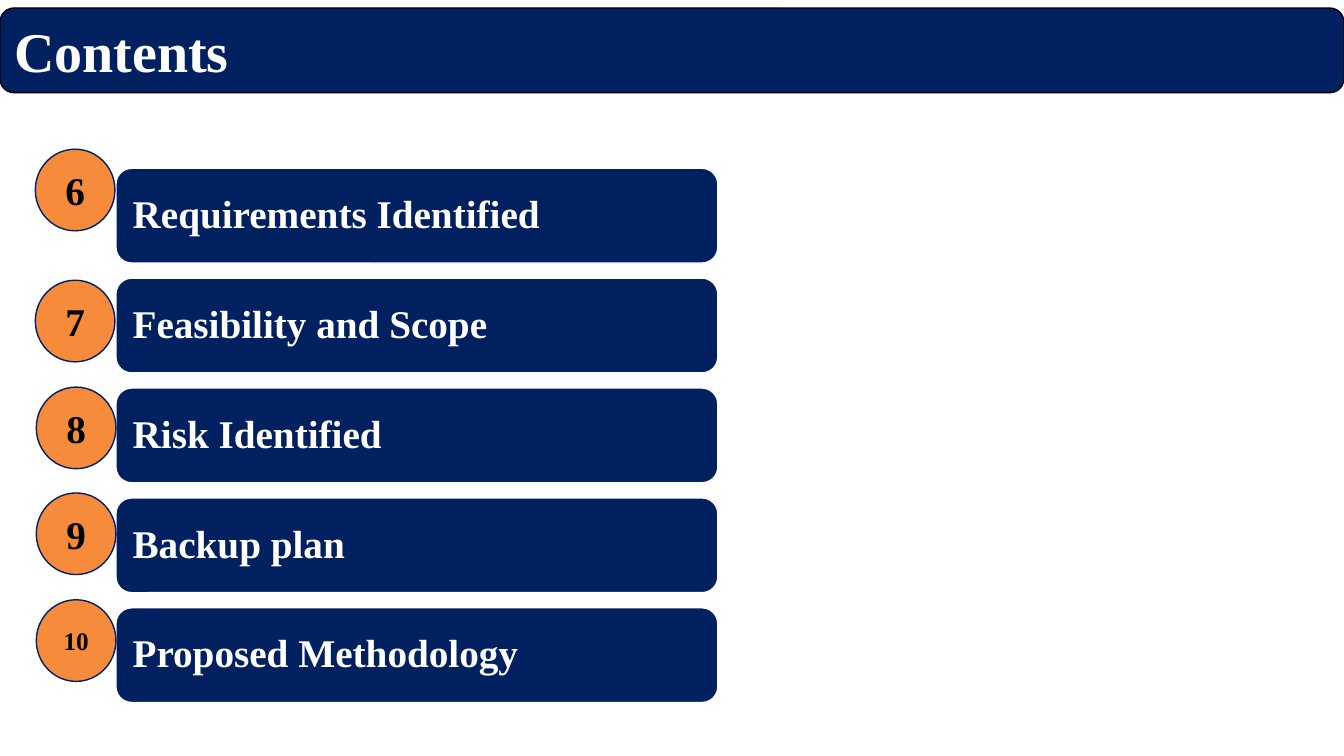
from pptx import Presentation
from pptx.dml.color import RGBColor
from pptx.enum.shapes import MSO_SHAPE
from pptx.enum.text import MSO_ANCHOR, MSO_AUTO_SIZE, PP_ALIGN
from pptx.util import Inches, Pt

COLORS = {
    "navy": "002060",
    "orange": "F58B3B",
    "white": "FFFFFF",
    "black": "000000",
}
FONT = "Times New Roman"

# Number, topic, circle left, circle top
ITEMS = [
    (6, "Requirements Identified", 0.35, 1.48),
    (7, "Feasibility and Scope", 0.35, 2.78),
    (8, "Risk Identified", 0.36, 3.84),
    (9, "Backup plan", 0.36, 4.89),
    (10, "Proposed Methodology", 0.36, 5.95),
]
BAR_TOP, BAR_STEP = 1.67, 1.09


def color(name):
    return RGBColor.from_string(COLORS[name])


def set_text(shape, text, size, ink, align=PP_ALIGN.LEFT):
    frame = shape.text_frame
    frame.text = text
    frame.word_wrap = True
    frame.auto_size = MSO_AUTO_SIZE.NONE
    frame.vertical_anchor = MSO_ANCHOR.MIDDLE
    para = frame.paragraphs[0]
    para.alignment = align
    font = para.runs[0].font
    font.name, font.size, font.bold = FONT, Pt(size), True
    font.color.rgb = color(ink)


def add_box(slide, kind, left, top, width, height, fill, line):
    box = slide.shapes.add_shape(
        kind, Inches(left), Inches(top), Inches(width), Inches(height))
    box.shadow.inherit = False
    box.fill.solid()
    box.fill.fore_color.rgb = color(fill)
    box.line.color.rgb = color(line)
    box.line.width = Pt(1)
    return box


def add_title(slide, text):
    add_box(slide, MSO_SHAPE.ROUNDED_RECTANGLE,
            0, 0.08, 13.33, 0.84, "navy", "black")
    title = slide.shapes.title
    title.left, title.top = Inches(0.04), Inches(0.08)
    title.width, title.height = Inches(13.25), Inches(0.84)
    set_text(title, text, 40, "white")
    # Bring the title in front of its banner
    slide.shapes._spTree.append(title._element)


def add_bar(slide, text, top):
    bar = add_box(slide, MSO_SHAPE.ROUNDED_RECTANGLE,
                  1.15, top, 5.97, 0.94, "navy", "white")
    set_text(bar, text, 28, "white")
    frame = bar.text_frame
    frame.margin_left = frame.margin_right = Inches(0.12)
    frame.paragraphs[0].line_spacing = 0.9


def add_badge(slide, number, left, top):
    badge = add_box(slide, MSO_SHAPE.OVAL,
                    left, top, 0.79, 0.81, "orange", "navy")
    size = 28 if number < 10 else 18
    set_text(badge, str(number), size, "black", PP_ALIGN.CENTER)


def main():
    deck = Presentation()
    deck.slide_width, deck.slide_height = Inches(13.33), Inches(7.5)
    slide = deck.slides.add_slide(deck.slide_layouts.get_by_name("Title Only"))

    # Banner
    add_title(slide, "Contents")

    # Numbered topics
    for row, (number, topic, left, top) in enumerate(ITEMS):
        add_bar(slide, topic, BAR_TOP + row * BAR_STEP)
        add_badge(slide, number, left, top)

    deck.save("out.pptx")


if __name__ == "__main__":
    main()
